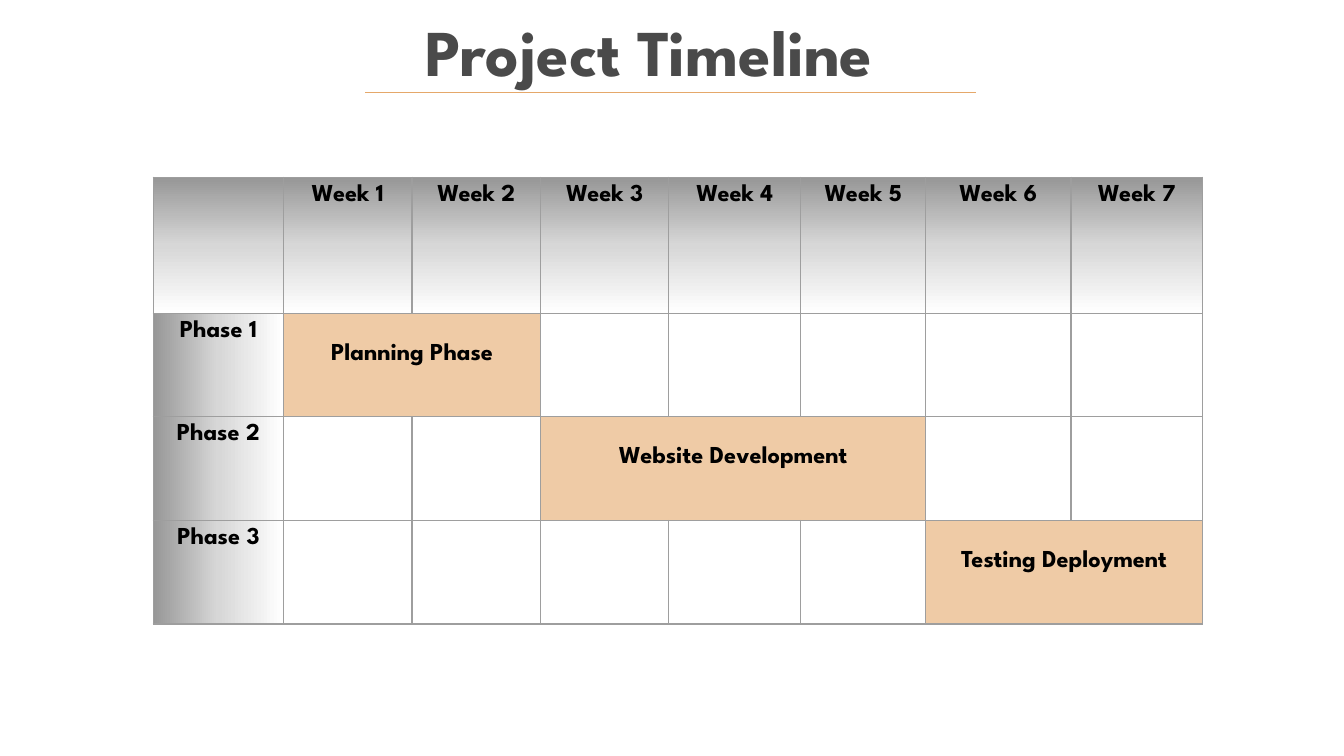
"""Build a project timeline slide with a Gantt-style table."""
from pptx import Presentation
from pptx.dml.color import RGBColor
from pptx.enum.shapes import MSO_CONNECTOR
from pptx.enum.text import MSO_ANCHOR, PP_ALIGN
from pptx.oxml import parse_xml
from pptx.oxml.ns import nsdecls
from pptx.util import Pt

CENTER = PP_ALIGN.CENTER
MIDDLE = MSO_ANCHOR.MIDDLE
STRAIGHT = MSO_CONNECTOR.STRAIGHT

FONT = "League Spartan"
TITLE_GREY = RGBColor(0x4A, 0x4A, 0x4A)
BLACK = RGBColor(0, 0, 0)
RULE_ORANGE = RGBColor(0xE5, 0xA8, 0x6A)
BAR_ORANGE = RGBColor(0xEF, 0xCB, 0xA6)
BORDER_GREY = RGBColor(0x9E, 0x9E, 0x9E)
GRADIENT = [
    (0, RGBColor(0x97, 0x97, 0x97)),
    (50, RGBColor(0xD7, 0xD7, 0xD7)),
    (100, RGBColor(0xFF, 0xFF, 0xFF)),
]

TITLE = "Project Timeline"
WEEKS = [f"Week {number}" for number in range(1, 8)]
PHASES = [
    ("Phase 1", "Planning Phase", 1, 2),
    ("Phase 2", "Website Development", 3, 5),
    ("Phase 3", "Testing Deployment", 6, 7),
]
COLUMN_WIDTHS = [69.8, 68.8, 68.9, 68.7, 70.7, 67, 77.8, 70.3]
ROW_HEIGHTS = [72.9] + [55.5] * len(PHASES)
TABLE_LEFT, TABLE_TOP = 82.1, 95
BAR_TEXT_TOP = 16


def style_text(paragraph, size, color):
    for span in paragraph.runs:
        span.font.name = FONT
        span.font.size = Pt(size)
        span.font.bold = True
        span.font.color.rgb = color


def write_cell(cell, text):
    cell.text_frame.text = text
    paragraph = cell.text_frame.paragraphs[0]
    paragraph.alignment = CENTER
    style_text(paragraph, 13, BLACK)


def add_borders(cell):
    properties = cell._tc.get_or_add_tcPr()
    for side in ("lnL", "lnR", "lnT", "lnB"):
        properties.append(parse_xml(
            f'<a:{side} {nsdecls("a")} w="{Pt(0.75)}"><a:solidFill>'
            f'<a:srgbClr val="{BORDER_GREY}"/></a:solidFill></a:{side}>'))


def fill_gradient(cell, angle):
    stops = "".join(
        f'<a:gs pos="{position * 1000}"><a:srgbClr val="{color}"/></a:gs>'
        for position, color in GRADIENT)
    cell._tc.get_or_add_tcPr().append(parse_xml(
        f'<a:gradFill {nsdecls("a")}><a:gsLst>{stops}</a:gsLst>'
        f'<a:lin ang="{angle * 60000}" scaled="0"/></a:gradFill>'))


def add_title(page):
    box = page.shapes.add_textbox(Pt(221), Pt(10.8), Pt(294.5), Pt(38.2))
    frame = box.text_frame
    frame.word_wrap = True
    frame.vertical_anchor = MIDDLE
    frame.margin_left = frame.margin_right = Pt(7.2)
    frame.margin_top = frame.margin_bottom = Pt(7.2)
    frame.text = TITLE
    frame.paragraphs[0].line_spacing = 0.9
    style_text(frame.paragraphs[0], 35, TITLE_GREY)

    rule = page.shapes.add_connector(STRAIGHT, Pt(195.8), Pt(49.6), Pt(522.7), Pt(49.6))
    rule.line.color.rgb = RULE_ORANGE
    rule.line.width = Pt(0.75)
    rule._element.spPr.append(parse_xml(f'<a:effectLst {nsdecls("a")}/>'))


def add_timeline(page):
    table = page.shapes.add_table(
        len(ROW_HEIGHTS), len(COLUMN_WIDTHS), Pt(TABLE_LEFT), Pt(TABLE_TOP),
        Pt(sum(COLUMN_WIDTHS)), Pt(sum(ROW_HEIGHTS))).table
    table.first_row = table.horz_banding = False
    for column, width in zip(table.columns, COLUMN_WIDTHS):
        column.width = Pt(width)
    for row, height in zip(table.rows, ROW_HEIGHTS):
        row.height = Pt(height)

    for row_index in range(len(ROW_HEIGHTS)):
        for column_index in range(len(COLUMN_WIDTHS)):
            cell = table.cell(row_index, column_index)
            add_borders(cell)
            if row_index == 0:
                fill_gradient(cell, 90)
            elif column_index == 0:
                fill_gradient(cell, 0)
            else:
                cell.fill.background()

    for column_index, week in enumerate(WEEKS, 1):
        write_cell(table.cell(0, column_index), week)
    for row_index, (phase, task, first, last) in enumerate(PHASES, 1):
        write_cell(table.cell(row_index, 0), phase)
        bar = table.cell(row_index, first)
        bar.merge(table.cell(row_index, last))
        bar.fill.solid()
        bar.fill.fore_color.rgb = BAR_ORANGE
        bar.margin_top = Pt(BAR_TEXT_TOP)
        write_cell(bar, task)


def main():
    deck = Presentation()
    deck.slide_width, deck.slide_height = Pt(720), Pt(405)
    page = deck.slides.add_slide(deck.slide_layouts[6])
    add_title(page)
    add_timeline(page)
    deck.save("out.pptx")


if __name__ == "__main__":
    main()
